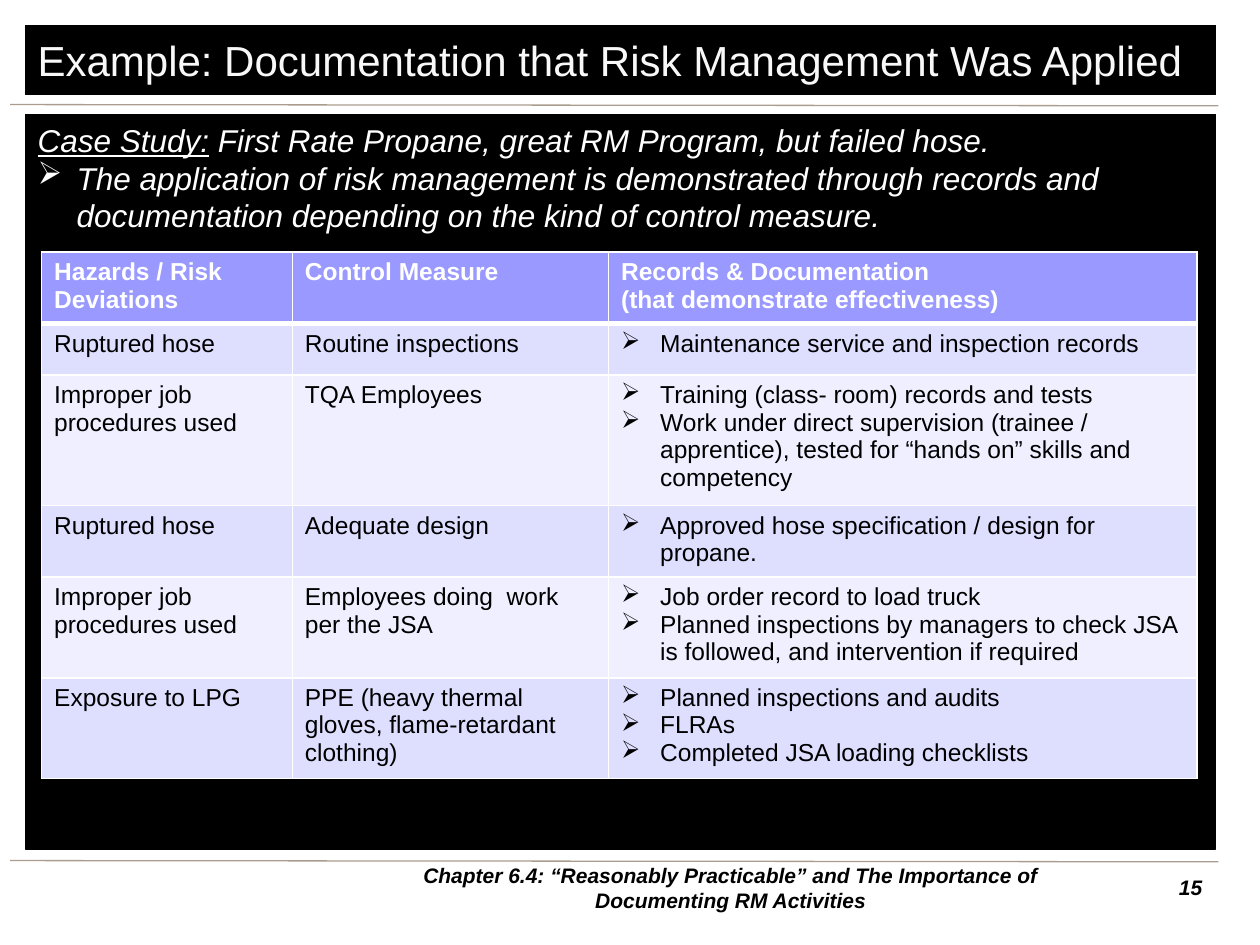
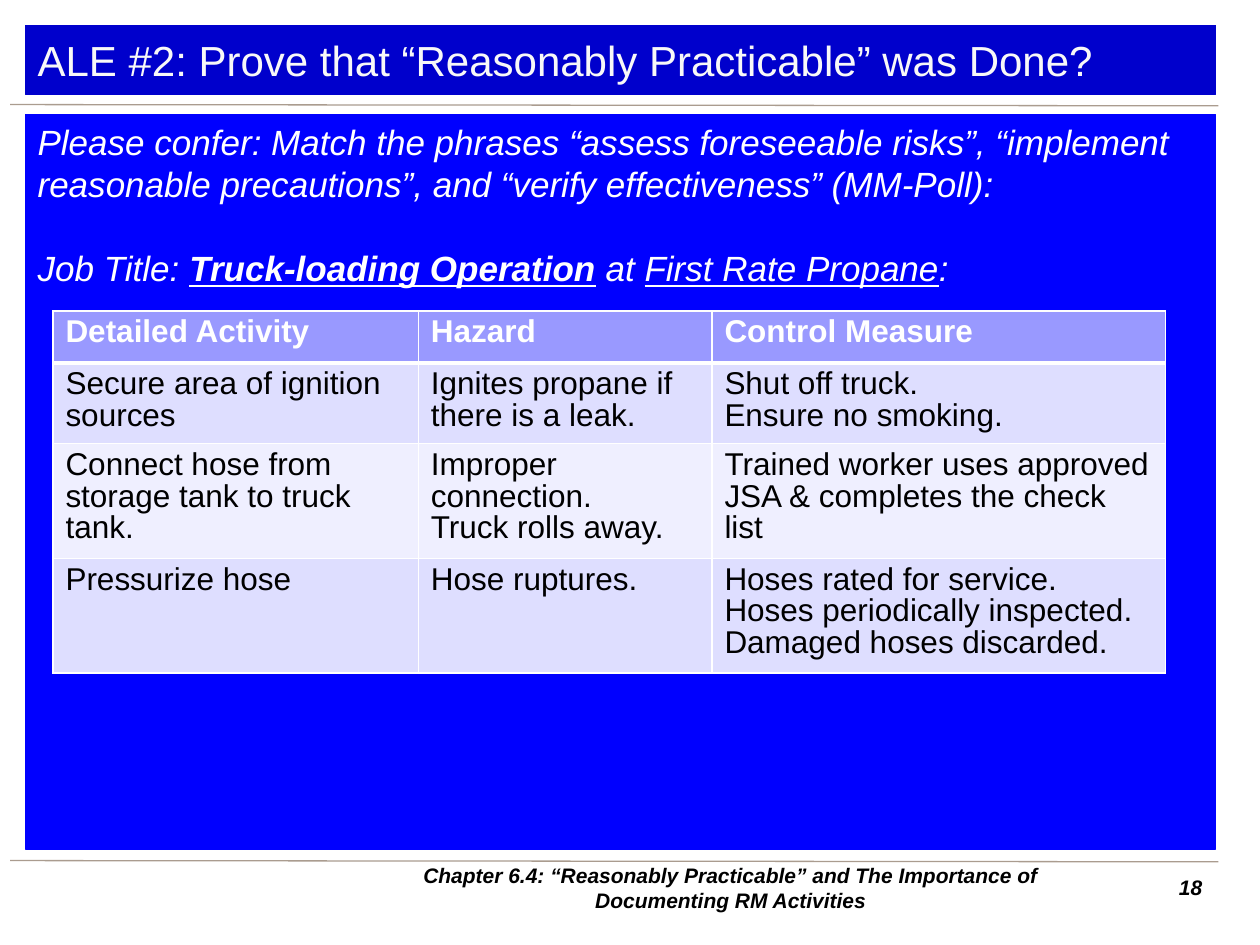
import pptx
import pptx.dml.color
import pptx.enum.shapes
import pptx.enum.text
import pptx.oxml.ns
import pptx.util
from lxml import etree

PX = 9144  # 100 px to the inch
BULLET = "➢"
BULLET_INDENT = 31
ROW_HEIGHT = 41
ALIGN = pptx.enum.text.PP_ALIGN
ANCHOR = pptx.enum.text.MSO_ANCHOR
RECT = pptx.enum.shapes.MSO_SHAPE.RECTANGLE

THEME = {
    "font": "Arial",
    "rule": "AA9C8F",
    "border": "FFFFFF",
    "header_fill": "9999FF",
    "band_fills": ["DEDEFF", "EFEFFF"],
    "title": {"size": 24, "color": "F8F8F8"},
    "body": {"color": "FFFFFF", "italic": True},
    "footer": {"size": 12, "color": "000000", "bold": True, "italic": True},
    "table_head": {"color": "FFFFFF", "bold": True},
    "table_cell": {"color": "000000"},
}
FOOTER = "Chapter 6.4: “Reasonably Practicable” and The Importance of Documenting RM Activities"

SLIDES = [
    {
        "title": "Example: Documentation that Risk Management Was Applied",
        "title_fill": "000000", "body_fill": "000000", "number": "15",
        "body_size": 18,
        "body": [
            [("Case Study:", {"underline": True}),
             (" First Rate Propane, great RM Program, but failed hose.", {})],
            "➢The application of risk management is demonstrated through records and "
            "documentation depending on the kind of control measure.",
        ],
        "body_gap": 0,
        "table_box": (33, 200, 917, 417), "columns": [199, 251, 467],
        "table_size": 14, "line_spacing": 1.0,
        "rows": [
            [["Hazards / Risk Deviations"], ["Control Measure"],
             ["Records & Documentation\n(that demonstrate effectiveness)"]],
            [["Ruptured hose"], ["Routine inspections"],
             ["➢Maintenance service and inspection records"]],
            [["Improper job procedures used"], ["TQA Employees"],
             ["➢Training (class- room) records and tests",
              "➢Work under direct supervision (trainee / apprentice), "
              "tested for “hands on” skills and competency"]],
            [["Ruptured hose"], ["Adequate design"],
             ["➢Approved hose specification / design for propane."]],
            [["Improper job procedures used"], ["Employees doing  work per the JSA"],
             ["➢Job order record to load truck",
              "➢Planned inspections by managers to check JSA is followed, "
              "and intervention if required"]],
            [["Exposure to LPG"], ["PPE (heavy thermal gloves, flame-retardant clothing)"],
             ["➢Planned inspections and audits", "➢FLRAs",
              "➢Completed JSA loading checklists"]],
        ],
    },
    {
        "title": "ALE #2: Prove that “Reasonably Practicable” was Done?",
        "title_fill": "0000CC", "body_fill": "0000FF", "number": "18",
        "body_size": 20,
        "body": [
            "Please confer: Match the phrases “assess foreseeable risks”, “implement "
            "reasonable precautions”, and “verify effectiveness” (MM-Poll):",
            [("Job Title: ", {}),
             ("Truck-loading Operation", {"bold": True, "underline": True}),
             (" at ", {}),
             ("First Rate Propane", {"underline": True}),
             (":", {})],
        ],
        "body_gap": 24,
        "table_box": (42, 247, 883, 287), "columns": [290, 233, 360],
        "table_size": 18, "line_spacing": 0.9,
        "rows": [
            [["Detailed Activity"], ["Hazard"], ["Control Measure"]],
            [["Secure area of ignition sources"], ["Ignites propane if there is a leak."],
             ["Shut off truck.", "Ensure no smoking."]],
            [["Connect hose from storage tank to truck tank."],
             ["Improper connection.", "Truck rolls away."],
             ["Trained worker uses approved JSA & completes the check list"]],
            [["Pressurize hose"], ["Hose ruptures."],
             ["Hoses rated for service.",
              "Hoses periodically inspected. Damaged hoses discarded."]],
        ],
    },
]


def rgb(color):
    return pptx.dml.color.RGBColor.from_string(color)


def write(tf, paragraphs, fmt, align=ALIGN.LEFT, spacing=1.0, gap=0):
    """Fill tf; a paragraph is a string or a list of (text, format) runs."""
    tf.word_wrap = True
    for i, runs in enumerate(paragraphs):
        p = tf.add_paragraph() if i else tf.paragraphs[0]
        p.alignment = align
        p.line_spacing = spacing
        if i and gap:
            p.space_before = pptx.util.Pt(gap)
        if isinstance(runs, str):
            if runs.startswith(BULLET):
                runs = runs[len(BULLET):]
                pPr = p._p.get_or_add_pPr()
                pPr.set("marL", str(BULLET_INDENT * PX))
                pPr.set("indent", str(-BULLET_INDENT * PX))
                etree.SubElement(pPr, pptx.oxml.ns.qn("a:buChar"), char=BULLET)
            runs = [(runs, {})]
        for text, extra in runs:
            for n, line in enumerate(text.split("\n")):
                if n:
                    p.add_line_break()
                r = p.add_run()
                r.text = line
                values = {"name": THEME["font"], **fmt, **extra}
                r.font.color.rgb = rgb(values.pop("color"))
                values["size"] = pptx.util.Pt(values["size"])
                for name, value in values.items():
                    setattr(r.font, name, value)


prs = pptx.Presentation()
prs.slide_width, prs.slide_height = 1000 * PX, 750 * PX

for page in SLIDES:
    s = prs.slides.add_slide(prs.slide_layouts[6])

    for y in (83, 683):
        rule = s.shapes.add_connector(
            pptx.enum.shapes.MSO_CONNECTOR.STRAIGHT, 8 * PX, y * PX, 967 * PX, (y + 1) * PX)
        rule.line.color.rgb = rgb(THEME["rule"])
        rule.line.width = pptx.util.Pt(0.75)
        etree.SubElement(rule._element.spPr, pptx.oxml.ns.qn("a:effectLst"))

    body_fmt = {**THEME["body"], "size": page["body_size"]}
    for top, height, fill, anchor, paragraphs, fmt in (
        (20, 55, page["title_fill"], ANCHOR.MIDDLE, [page["title"]], THEME["title"]),
        (91, 583, page["body_fill"], ANCHOR.TOP, page["body"], body_fmt),
    ):
        sp = s.shapes.add_shape(RECT, 20 * PX, top * PX, 945 * PX, height * PX)
        sp.shadow.inherit = False
        sp.fill.solid()
        sp.fill.fore_color.rgb = sp.line.color.rgb = rgb(fill)
        sp.line.width = pptx.util.Pt(0.75)
        sp.text_frame.vertical_anchor = anchor
        write(sp.text_frame, paragraphs, fmt, gap=page["body_gap"])

    for left, width, text, align, anchor in (
        (906, 58, page["number"], ALIGN.RIGHT, ANCHOR.TOP),
        (275, 610, FOOTER, ALIGN.CENTER, ANCHOR.MIDDLE),
    ):
        sp = s.shapes.add_textbox(left * PX, 689 * PX, width * PX, 31 * PX)
        sp.text_frame.vertical_anchor = anchor
        write(sp.text_frame, [text], THEME["footer"], align)

    rows, columns = page["rows"], page["columns"]
    box = [v * PX for v in page["table_box"]]
    table = s.shapes.add_table(len(rows), len(columns), *box).table
    table.horz_banding = False
    for column, width in zip(table.columns, columns):
        column.width = width * PX
    for i, row in enumerate(rows):
        table.rows[i].height = ROW_HEIGHT * PX
        fill = THEME["band_fills"][(i - 1) % 2] if i else THEME["header_fill"]
        fmt = {**THEME["table_cell" if i else "table_head"], "size": page["table_size"]}
        borders = {"lnL": 1, "lnR": 1, "lnT": 3 if i == 1 else 1, "lnB": 1 if i else 3}
        for j, paragraphs in enumerate(row):
            cell = table.cell(i, j)
            cell.fill.solid()
            cell.fill.fore_color.rgb = rgb(fill)
            tcPr = cell._tc.get_or_add_tcPr()
            for n, (side, points) in enumerate(borders.items()):
                ln = etree.Element(pptx.oxml.ns.qn("a:" + side), w=str(pptx.util.Pt(points)))
                solid = etree.SubElement(ln, pptx.oxml.ns.qn("a:solidFill"))
                etree.SubElement(solid, pptx.oxml.ns.qn("a:srgbClr"), val=THEME["border"])
                tcPr.insert(n, ln)
            write(cell.text_frame, paragraphs, fmt, spacing=page["line_spacing"])

prs.save("out.pptx")
